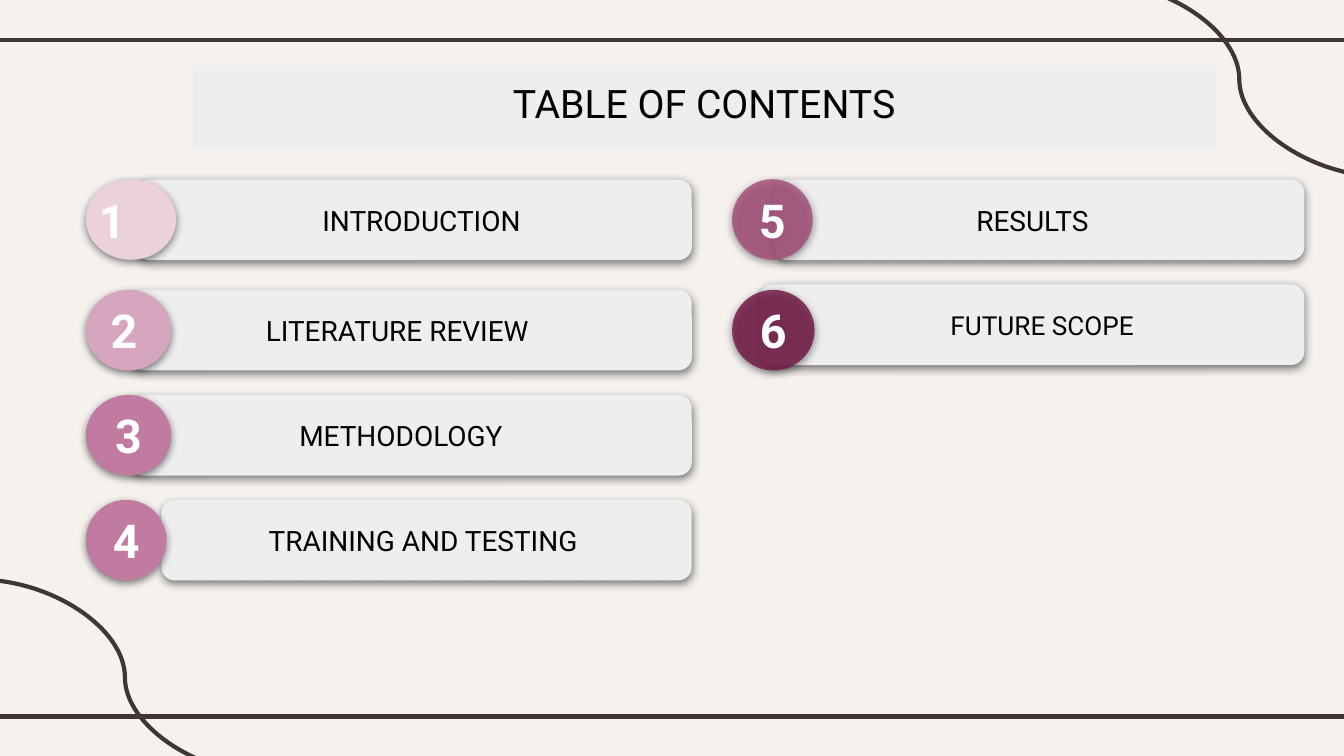
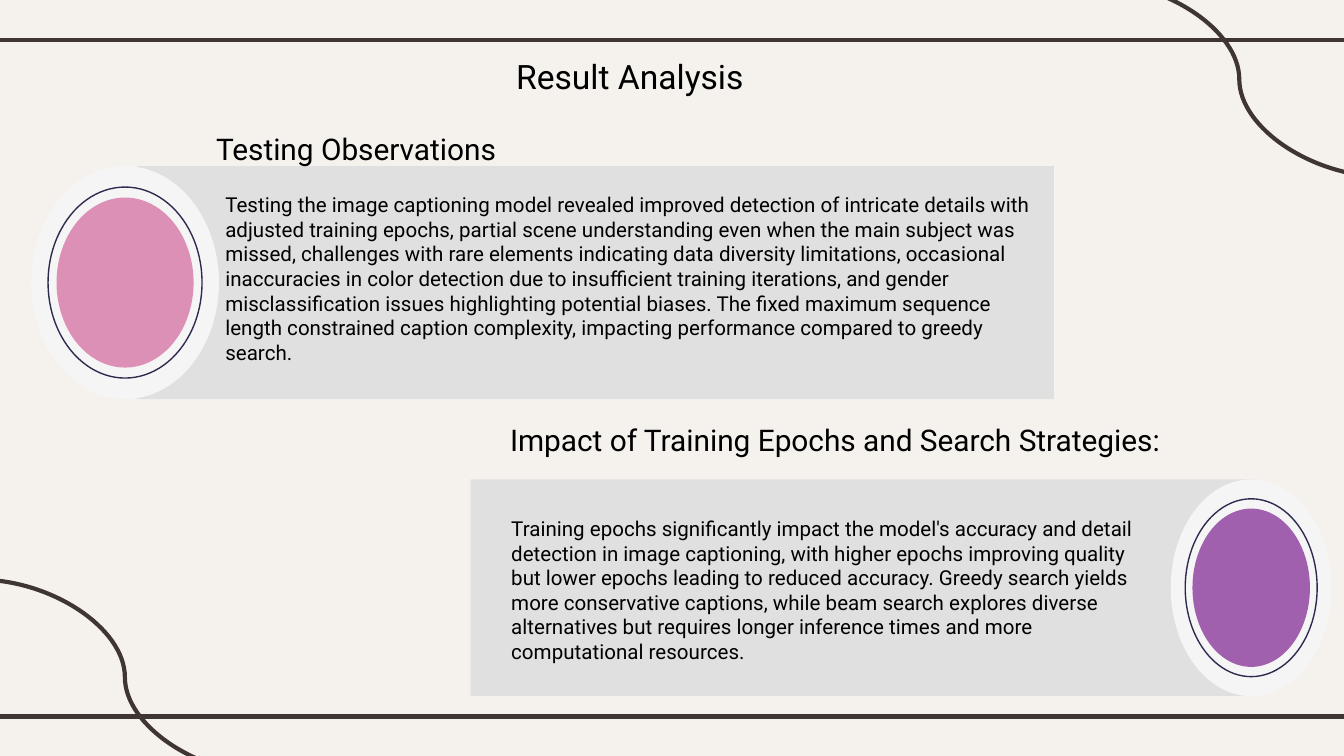
from lxml import etree
from pptx import Presentation
from pptx.dml.color import RGBColor
from pptx.enum import shapes, text
from pptx.oxml import ns
from pptx.util import Pt

COLORS = {
    "paper": "F5F2EE", "stroke": "3F3533", "bar": "EEEEEE", "panel": "E0E0E0",
    "halo": "F5F5F5", "ring": "2E294E", "ink": "000000", "white": "FFFFFF",
    "blush": "EAD1DC", "rose": "D5A6BD", "mauve": "C27BA0", "plum": "A64D79",
    "wine": "741B47", "pink": "DD90B6", "violet": "A060AD",
}
RGB = {name: RGBColor.from_string(value) for name, value in COLORS.items()}
KIND = shapes.MSO_SHAPE
LEFT, CENTER = text.PP_ALIGN.LEFT, text.PP_ALIGN.CENTER
TOP, MIDDLE = text.MSO_ANCHOR.TOP, text.MSO_ANCHOR.MIDDLE


def add_piece(slide, kind, box, fill=None, opacity=100, shadow=False):
    piece = slide.shapes.add_shape(kind, *map(Pt, box))
    if fill:
        piece.fill.solid()
        piece.fill.fore_color.rgb = RGB[fill]
    else:
        piece.fill.background()
    piece.line.fill.background()
    piece.shadow.inherit = False
    properties = piece._element.spPr
    if opacity < 100:
        tint = properties.find(ns.qn("a:solidFill"))[0]
        etree.SubElement(tint, ns.qn("a:alpha"), val=str(opacity * 1000))
    if shadow:
        effects = properties.find(ns.qn("a:effectLst"))
        outer = etree.SubElement(effects, ns.qn("a:outerShdw"), blurRad=str(Pt(4.5)),
                                 dist=str(Pt(1.5)), dir="5400000", algn="t", rotWithShape="0")
        shade = etree.SubElement(outer, ns.qn("a:srgbClr"), val=COLORS["ink"])
        etree.SubElement(shade, ns.qn("a:alpha"), val="50000")
    return piece


def write(shape, words, size, align=LEFT, anchor=TOP, insets=(7.2,) * 4,
          color="ink", bold=False, wrap=True):
    frame = shape.text_frame
    frame.text = words
    frame_format = {"word_wrap": wrap, "vertical_anchor": anchor,
                    "auto_size": text.MSO_AUTO_SIZE.NONE}
    for side, inset in zip(("left", "top", "right", "bottom"), insets):
        frame_format[f"margin_{side}"] = Pt(inset)
    for name, value in frame_format.items():
        setattr(frame, name, value)
    paragraph = frame.paragraphs[0]
    paragraph.alignment = align
    font = paragraph.runs[0].font
    for name, value in {"name": "Roboto", "size": Pt(size), "bold": bold}.items():
        setattr(font, name, value)
    font.color.rgb = RGB[color]


prs = Presentation()
prs.slide_width, prs.slide_height = Pt(720), Pt(405)
backdrop = prs.slide_master.background.fill
backdrop.solid()
backdrop.fore_color.rgb = RGB["paper"]
layout = prs.slide_layouts[5]
contents = prs.slides.add_slide(layout)
results = prs.slides.add_slide(layout)

STRAIGHT, CURVE = shapes.MSO_CONNECTOR.STRAIGHT, shapes.MSO_CONNECTOR.CURVE
for kind, ends in (
    (STRAIGHT, (-6, 383.9, 726, 383.9)),
    (STRAIGHT, (-6, 21.4, 726, 21.4)),
    (CURVE, (585.4, -9.8, 742.4, 94.8)),
    (CURVE, (-11.6, 310.5, 145.4, 415.1)),
):
    stroke = contents.shapes.add_connector(kind, *map(Pt, ends))
    stroke.line.color.rgb = RGB["stroke"]
    stroke.line.width = Pt(2.25)
    etree.SubElement(stroke._element.spPr, ns.qn("a:effectLst"))
    layout.shapes._spTree.append(stroke._element)

for slide, words, size, align, box in (
    (contents, "TABLE OF CONTENTS", 21, CENTER, (103.2, 35.2, 548, 45)),
    (results, "Result Analysis", 18, LEFT, (269.3, 23, 198.7, 36)),
):
    title = slide.shapes.title
    for name, value in zip(("left", "top", "width", "height"), box):
        setattr(title, name, Pt(value))
    write(title, words, size, align)
contents.shapes.title.fill.solid()
contents.shapes.title.fill.fore_color.rgb = RGB["bar"]

ROW_HEIGHT = 43.2
COLUMNS = ((46, 370.6), (392.2, 698.8))
entries = (
    ("INTRODUCTION", 15, 0, 96, 96.2, 72.7, 30, "blush", 100, 48.4, 20),
    ("LITERATURE REVIEW", 15, 0, 155.3, 155.3, 69.7, 7, "rose", 100, 45.7, 4.8),
    ("METHODOLOGY", 15, 0, 211.6, 211.6, 69.7, 11, "mauve", 100, 45.7, 0),
    ("TRAINING AND TESTING", 15, 0, 267.8, 267.8, 86.5, 18, "mauve", 100, 43.2, 0),
    ("RESULTS", 15, 1, 96, 96.2, 414.7, 14.4, "plum", 80, 43.2, 0),
    ("FUTURE SCOPE", 14, 1, 155.3, 152.4, 407, 32.6, "wine", 84, 44.2, 0),
)
for number, (label, size, column, disc_top, bar_top, bar_left, indent,
             fill, opacity, disc_width, nudge) in enumerate(entries, 1):
    disc_left, bar_right = COLUMNS[column]
    bar = add_piece(contents, KIND.ROUNDED_RECTANGLE,
                    (bar_left, bar_top, bar_right - bar_left, ROW_HEIGHT), "bar", shadow=True)
    write(bar, label, size, CENTER, MIDDLE, (indent, 7.2, 21.6, 7.2))
    disc = add_piece(contents, KIND.OVAL, (disc_left, disc_top, disc_width, ROW_HEIGHT),
                     fill, opacity, shadow=True)
    write(disc, str(number), 25, CENTER, MIDDLE, (0, 0, nudge, 0), "white", True, False)

findings = (
    ("Testing Observations", (108.7, 62.6, 198.7, 33.8),
     "Testing the image captioning model revealed improved detection of intricate details with "
     "adjusted training epochs, partial scene understanding even when the main subject was "
     "missed, challenges with rare elements indicating data diversity limitations, occasional "
     "inaccuracies in color detection due to insufficient training iterations, and gender "
     "misclassification issues highlighting potential biases. The fixed maximum sequence "
     "length constrained caption complexity, impacting performance compared to greedy search.",
     (113.6, 95.5, 455, 107), (73.4, 89, 491.2, 124.8), (67, 100.6), "pink"),
    ("Impact of Training Epochs and Search Strategies:", (266.2, 218.9, 393, 33.8),
     "Training epochs significantly impact the model's accuracy and detail detection in image "
     "captioning, with higher epochs improving quality but lower epochs leading to reduced "
     "accuracy. Greedy search yields more conservative captions, while beam search explores "
     "diverse alternatives but requires longer inference times and more computational resources.",
     (266.8, 269.2, 353.5, 93.6), (252.2, 256.8, 421, 116.2), (670.3, 86.2), "violet"),
)
for heading, heading_box, finding, finding_box, panel_box, (middle, halo_width), core in findings:
    add_piece(results, KIND.RECTANGLE, panel_box, "panel")
    _, panel_top, _, panel_height = panel_box
    for scale, fill in ((1, "halo"), (0.82, None), (0.73, core)):
        width, height = halo_width * scale, panel_height * scale
        top = panel_top + (panel_height - height) / 2
        oval = add_piece(results, KIND.OVAL, (middle - width / 2, top, width, height), fill)
        if fill is None:
            oval.line.color.rgb = RGB["ring"]
            oval.line.width = Pt(0.75)
    for words, size, box, anchor in ((finding, 11, finding_box, MIDDLE),
                                     (heading, 16, heading_box, TOP)):
        write(results.shapes.add_textbox(*map(Pt, box)), words, size, anchor=anchor)

prs.save("out.pptx")
